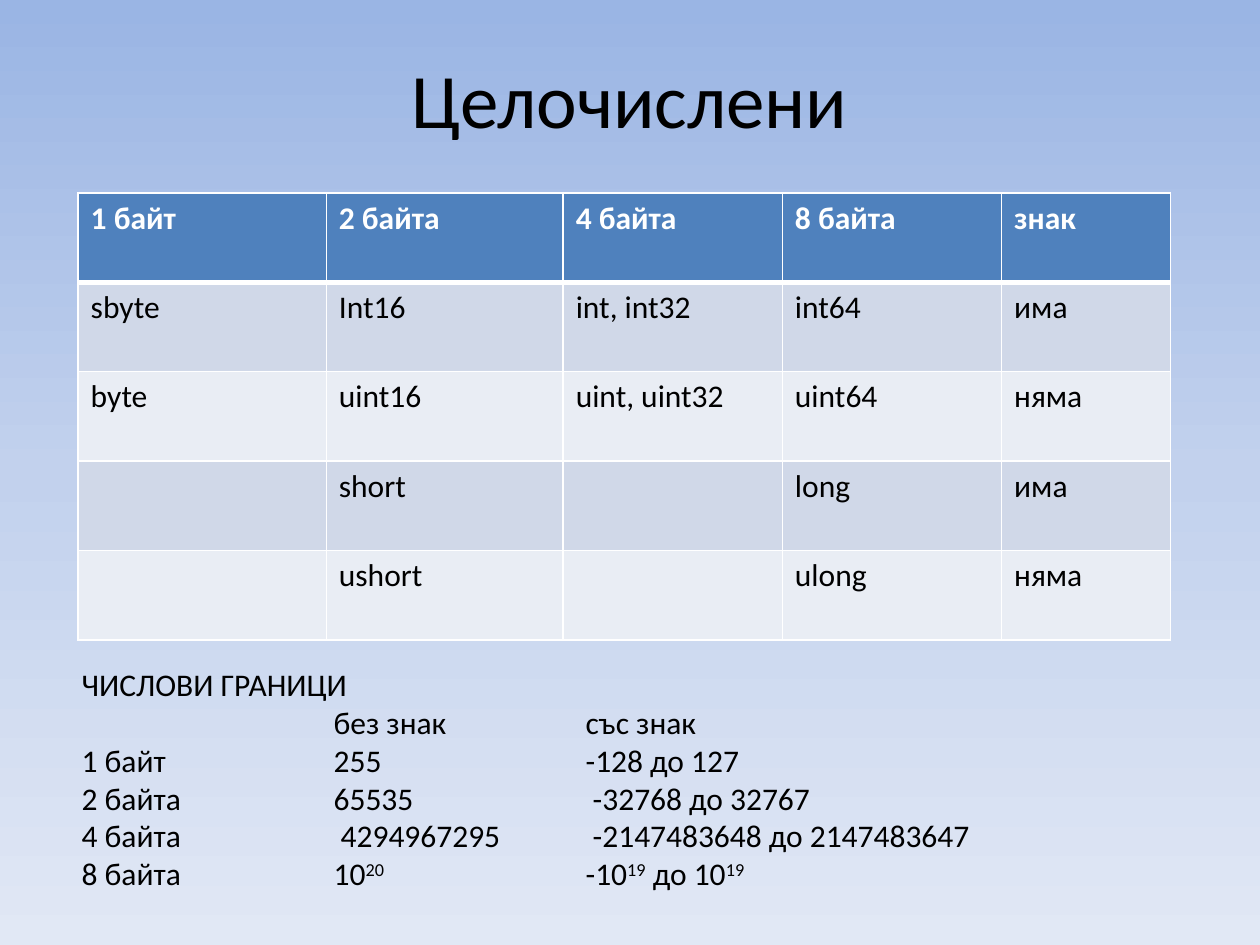
"""Build the slide on integer types and their numeric limits."""
from copy import deepcopy

from lxml.etree import SubElement
from pptx import Presentation
from pptx.dml.color import RGBColor
from pptx.enum.text import MSO_ANCHOR, MSO_AUTO_SIZE, PP_ALIGN
from pptx.oxml import parse_xml
from pptx.oxml.ns import nsdecls, qn
from pptx.util import Inches, Pt

TITLE = "Целочислени"
TYPES = [
    ["1 байт", "2 байта", "4 байта", "8 байта", "знак"],
    ["sbyte", "Int16", "int, int32", "int64", "има"],
    ["byte", "uint16", "uint, uint32", "uint64", "няма"],
    ["", "short", "", "long", "има"],
    ["", "ushort", "", "ulong", "няма"],
]
LIMITS = [
    "ЧИСЛОВИ ГРАНИЦИ",
    "\tбез знак\tсъс знак",
    "1 байт\t255\t-128 до 127",
    "2 байта\t65535\t -32768 до 32767",
    "4 байта\t 4294967295\t -2147483648 до 2147483647",
    "8 байта\t10|20|\t-10|19| до 10|19",
]
COLUMN_WIDTHS = [1.97, 1.88, 1.74, 1.74, 1.34]
ROW_HEIGHT = 0.71
TAB_STOPS = [2, 4]
THEME = {
    "font": "Calibri", "title_size": 44, "body_size": 18,
    "text": "000000", "white": "FFFFFF", "header": "4F81BD",
    "bands": ["D0D8E8", "E9EDF4"],
    "background": [(0, "9AB5E4"), (0.5, "C2D1ED"), (1, "E1E8F5")],
}


def write_text(frame, lines, size=THEME["body_size"], color=THEME["text"],
               bold=False, align=PP_ALIGN.LEFT, tabs=()):
    """Write lines in which bars enclose superscripts."""
    for index, line in enumerate(lines):
        paragraph = frame.paragraphs[0] if index == 0 else frame.add_paragraph()
        paragraph.alignment = align
        if tabs:
            tab_list = SubElement(paragraph._p.get_or_add_pPr(), qn("a:tabLst"))
            for position in tabs:
                SubElement(tab_list, qn("a:tab"), pos=str(Inches(position)), algn="l")
        for part, piece in enumerate(line.split("|")):
            if not piece:
                continue
            run = paragraph.add_run()
            run.text = piece
            run.font.name = THEME["font"]
            run.font.size = Pt(size)
            run.font.bold = bold
            run.font.color.rgb = RGBColor.from_string(color)
            if part % 2:
                run._r.get_or_add_rPr().set("baseline", "30000")


def paint_background(slide):
    """Fill the background from top to bottom."""
    fill = slide.background.fill
    fill.gradient()
    fill.gradient_angle = 270
    stop_list = slide._element.find(".//" + qn("a:gsLst"))
    stop_list.append(deepcopy(stop_list[0]))
    for stop, (position, color) in zip(fill.gradient_stops, THEME["background"]):
        stop.position = position
        stop.color.rgb = RGBColor.from_string(color)


def set_borders(cell, **widths):
    """Draw white cell borders with widths in points."""
    properties = cell._tc.get_or_add_tcPr()
    for index, side in enumerate("LRTB"):
        properties.insert(index, parse_xml(
            f'<a:ln{side} {nsdecls("a")} w="{Pt(widths.get(side, 1))}"><a:solidFill>'
            f'<a:srgbClr val="{THEME["white"]}"/></a:solidFill></a:ln{side}>'))


def add_types_table(slide):
    """Add the table of type names."""
    table = slide.shapes.add_table(
        len(TYPES), len(COLUMN_WIDTHS), Inches(0.62), Inches(1.53),
        Inches(sum(COLUMN_WIDTHS)), Inches(ROW_HEIGHT * len(TYPES))).table
    for column, width in zip(table.columns, COLUMN_WIDTHS):
        column.width = Inches(width)
    for row_index, names in enumerate(TYPES):
        table.rows[row_index].height = Inches(ROW_HEIGHT)
        is_header = row_index == 0
        fill = THEME["header"] if is_header else THEME["bands"][(row_index - 1) % 2]
        color = THEME["white"] if is_header else THEME["text"]
        for column_index, name in enumerate(names):
            cell = table.cell(row_index, column_index)
            cell.fill.solid()
            cell.fill.fore_color.rgb = RGBColor.from_string(fill)
            set_borders(cell, T=3 if row_index == 1 else 1, B=3 if is_header else 1)
            write_text(cell.text_frame, [name], color=color, bold=is_header)


def main():
    """Create and save the presentation."""
    presentation = Presentation()
    presentation.slide_width, presentation.slide_height = Inches(10), Inches(7.5)
    slide = presentation.slides.add_slide(presentation.slide_layouts[5])
    paint_background(slide)

    title = slide.shapes.title
    title.left, title.top = Inches(0.5), Inches(0.3)
    title.width, title.height = Inches(9), Inches(0.95)
    title.text_frame.vertical_anchor = MSO_ANCHOR.MIDDLE
    write_text(title.text_frame, [TITLE], size=THEME["title_size"], align=PP_ALIGN.CENTER)

    add_types_table(slide)

    limits = slide.shapes.add_textbox(Inches(0.55), Inches(5.23), Inches(8.67), Inches(2.22))
    limits.text_frame.word_wrap = True
    limits.text_frame.auto_size = MSO_AUTO_SIZE.SHAPE_TO_FIT_TEXT
    write_text(limits.text_frame, LIMITS, tabs=TAB_STOPS)
    presentation.save("out.pptx")


if __name__ == "__main__":
    main()
